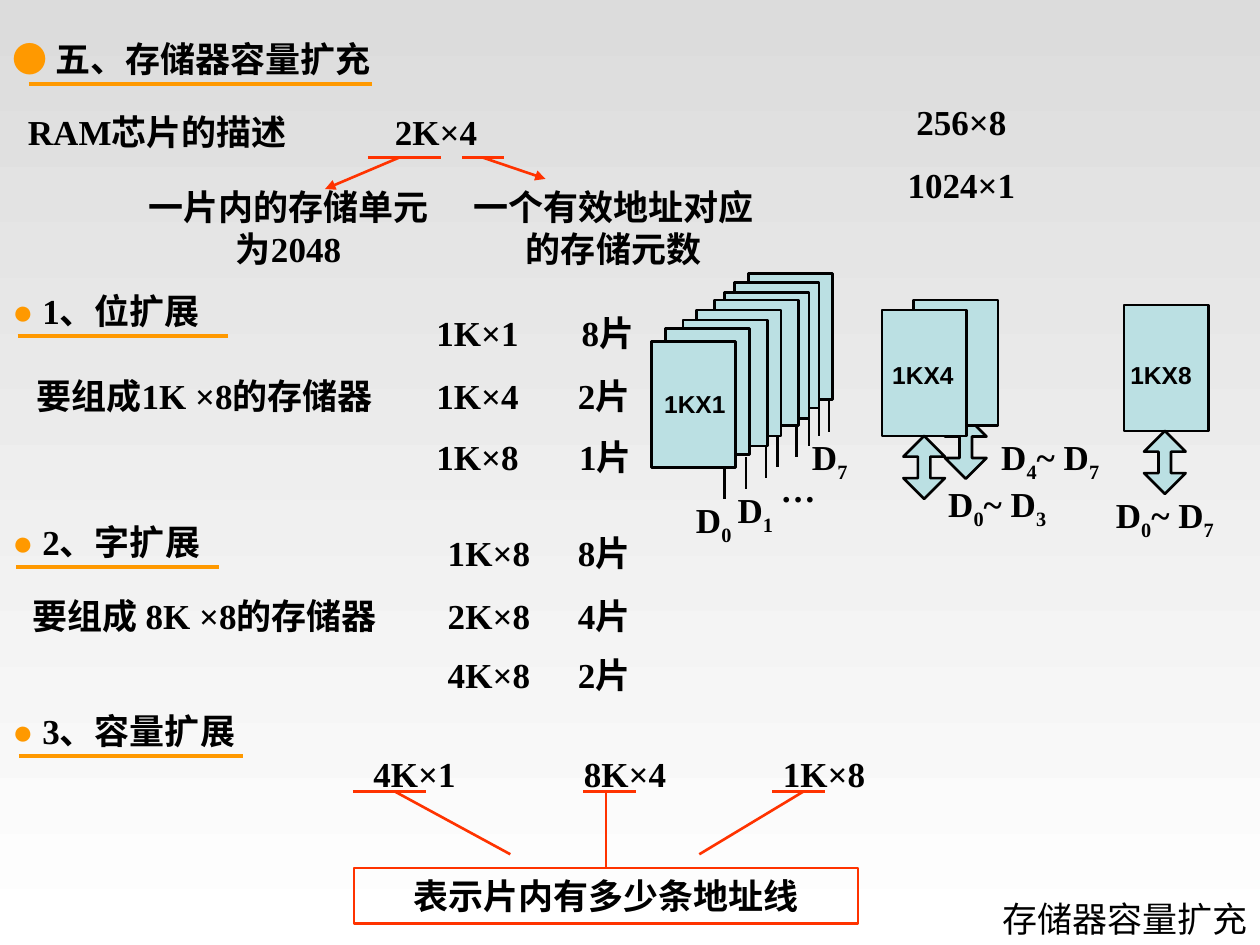
from dataclasses import dataclass
from itertools import groupby

from lxml.etree import SubElement
from pptx import Presentation
from pptx.dml.color import RGBColor
from pptx.enum.shapes import MSO_CONNECTOR as Link, MSO_SHAPE as Kind
from pptx.enum.text import MSO_ANCHOR as Anchor, PP_ALIGN as Align
from pptx.oxml.ns import qn
from pptx.shapes.autoshape import Shape
from pptx.shapes.connector import Connector
from pptx.slide import Slide
from pptx.util import Inches, Pt

BLACK = RGBColor(0x00, 0x00, 0x00)
WHITE = RGBColor(0xFF, 0xFF, 0xFF)
GREY = RGBColor(0xDC, 0xDC, 0xDC)
ORANGE = RGBColor(0xFF, 0x99, 0x00)
RED = RGBColor(0xFF, 0x33, 0x00)
TEAL = RGBColor(0xBB, 0xE0, 0xE3)
SERIF, SANS = "Times New Roman", "Arial"
CHIP_W, CHIP_H = 0.67, 1
ARROW_W, ARROW_H = 0.33, 0.5
PIN = 0.25


@dataclass
class Label:
    text: str
    x: float
    y: float
    w: float = 1.42
    h: float = 0.44
    size: int = 20
    face: str = SERIF
    bold: bool = True
    align: Align = Align.CENTER


@dataclass
class Heading:
    text: str
    y: float
    w: float
    left: float
    right: float


@dataclass
class Line:
    x1: float
    y1: float
    x2: float
    y2: float
    color: RGBColor = RED
    width: float = 1.5
    arrow: bool = False


HEADINGS = [
    Heading("五、存储器容量扩充", 0.25, 4.08, 0.23, 2.95),
    Heading("1、位扩展", 2.25, 2.5, 0.14, 1.81),
    Heading("2、字扩展", 4.08, 2.42, 0.13, 1.74),
    Heading("3、容量扩展", 5.58, 2.67, 0.15, 1.93),
]
LABELS = [
    Label("RAM芯片的描述", 0, 0.83, 2.5),
    Label("2K×4", 2.75, 0.83),
    Label("256×8", 6.92, 0.75),
    Label("1024×1", 6.92, 1.25),
    Label("一片内的存储单元为2048", 1, 1.42, 2.58, 0.77),
    Label("一个有效地址对应的存储元数", 3.58, 1.42, 2.58, 0.77),
    Label("要组成1K ×8的存储器", 0, 2.92, 3.25),
    Label("要组成 8K ×8的存储器", 0, 4.67, 3.25),
    Label("4K×1", 2.58, 5.92),
    Label("8K×4", 4.25, 5.92),
    Label("1K×8", 5.83, 5.92),
]
ROWS = [
    (3.08, "1K×1", 2.42, 4.45, "8片"),
    (3.08, "1K×4", 2.92, 4.42, "2片"),
    (3.08, "1K×8", 3.41, 4.43, "1片"),
    (3.17, "1K×8", 4.17, 4.42, "8片"),
    (3.17, "2K×8", 4.67, 4.42, "4片"),
    (3.17, "4K×8", 5.14, 4.42, "2片"),
]
LINES = [
    Line(2.92, 1.25, 3.5, 1.25),
    Line(3.17, 1.25, 2.58, 1.5, arrow=True),
    Line(3.67, 1.25, 4, 1.25),
    Line(3.83, 1.25, 4.33, 1.42, arrow=True),
    Line(2.8, 6.28, 3.38, 6.28),
    Line(3.13, 6.28, 4.05, 6.78),
    Line(4.63, 6.28, 5.05, 6.28),
    Line(6.13, 6.28, 6.55, 6.28),
    Line(6.38, 6.28, 5.55, 6.78),
]
STACK = [(5.94, 2.17), (5.83, 2.24), (5.75, 2.32), (5.67, 2.38),
         (5.53, 2.46), (5.42, 2.54), (5.28, 2.61), (5.17, 2.71)]
PINS = [(5.75, 3.71), (5.92, 3.63), (6.08, 3.54), (6.17, 3.46),
        (6.32, 3.38), (6.42, 3.29), (6.5, 3.21), (6.58, 3.18)]
NAMES = [("1KX1", 5.16, 3.04), ("1KX4", 6.97, 2.81), ("1KX8", 8.86, 2.81)]
BITS = [
    ("D1", 5.83, 3.88, 0.33),
    ("D0", 5.5, 3.96, 0.33),
    ("D7", 6.42, 3.46, 0.33),
    ("…", 6.17, 3.71, 0.33),
    ("D0~ D3", 7.5, 3.83, 0.83),
    ("D4~ D7", 7.92, 3.46, 0.83),
    ("D0~ D7", 8.83, 3.92, 0.83),
]


def write(shape: Shape, label: Label) -> None:
    frame = shape.text_frame
    frame.word_wrap = True
    para = frame.paragraphs[0]
    para.alignment = label.align
    font = para.font
    font.size, font.name, font.bold = Pt(label.size), label.face, label.bold
    font.color.rgb = BLACK
    para.add_run().text = label.text


def add_label(slide: Slide, label: Label) -> Shape:
    box = slide.shapes.add_textbox(
        Inches(label.x), Inches(label.y), Inches(label.w), Inches(label.h))
    write(box, label)
    return box


def add_line(slide: Slide, line: Line) -> Connector:
    link = slide.shapes.add_connector(
        Link.STRAIGHT, Inches(line.x1), Inches(line.y1), Inches(line.x2), Inches(line.y2))
    link.line.color.rgb = line.color
    link.line.width = Pt(line.width)
    if line.arrow:
        SubElement(link.line._get_or_add_ln(), qn("a:tailEnd"), type="triangle")
    SubElement(link._element.spPr, qn("a:effectLst"))
    return link


def add_heading(slide: Slide, head: Heading) -> None:
    box = slide.shapes.add_textbox(0, Inches(head.y), Inches(head.w), Inches(0.44))
    box.text_frame.word_wrap = True
    para = box.text_frame.paragraphs[0]
    para.font.size, para.font.name = Pt(20), SERIF
    for text, color, bold in (("● ", ORANGE, False), (head.text, BLACK, True)):
        run = para.add_run()
        run.text = text
        run.font.color.rgb, run.font.bold = color, bold
    base = head.y + 0.42
    add_line(slide, Line(head.left, base, head.right, base, ORANGE, 2.25))


def add_shape(slide: Slide, kind: Kind, x: float, y: float, w: float, h: float,
              color: RGBColor = BLACK) -> Shape:
    shape = slide.shapes.add_shape(kind, Inches(x), Inches(y), Inches(w), Inches(h))
    shape.shadow.inherit = False
    shape.fill.solid()
    shape.fill.fore_color.rgb = TEAL
    shape.line.color.rgb = color
    shape.line.width = Pt(1.5)
    return shape


def add_chip(slide: Slide, x: float, y: float) -> None:
    add_shape(slide, Kind.RECTANGLE, x, y, CHIP_W, CHIP_H)


def add_arrow(slide: Slide, x: float, y: float) -> None:
    arrow = add_shape(slide, Kind.UP_DOWN_ARROW, x, y, ARROW_W, ARROW_H)
    arrow.adjustments[0], arrow.adjustments[1] = 0.5, 0.3


def add_bits(slide: Slide, text: str, x: float, y: float, w: float) -> None:
    box = add_label(slide, Label("", x, y, w, 0.38))
    frame = box.text_frame
    frame.margin_left = frame.margin_right = frame.margin_top = frame.margin_bottom = 0
    para = frame.paragraphs[0]
    para.clear()
    for low, part in groupby(text, str.isdigit):
        run = para.add_run()
        run.text = "".join(part)
        if low:
            run.font._element.set("baseline", "-25000")


def main() -> None:
    """Build the memory expansion slide."""
    deck = Presentation()
    deck.slide_width, deck.slide_height = Inches(10), Inches(7.5)
    slide = deck.slides.add_slide(deck.slide_layouts[6])
    back = slide.background.fill
    back.gradient()
    back.gradient_angle = 270
    for stop, color in zip(back.gradient_stops, (GREY, WHITE)):
        stop.color.rgb = color

    title = Label("存储器容量扩充", 7.42, 7.08, 2.58, 0.42, 20, SANS, False, Align.RIGHT)
    add_label(slide, title).text_frame.vertical_anchor = Anchor.MIDDLE
    for head in HEADINGS:
        add_heading(slide, head)
    for label in LABELS:
        add_label(slide, label)
    for left, size, y, right, count in ROWS:
        add_label(slide, Label(size, left, y))
        add_label(slide, Label(count, right, y, 0.75))
    for line in LINES:
        add_line(slide, line)

    note = add_shape(slide, Kind.RECTANGLE, 2.81, 6.89, 4, 0.44, RED)
    note.fill.background()
    write(note, Label("表示片内有多少条地址线", 2.81, 6.89))
    add_line(slide, Line(4.81, 6.28, 4.81, 6.89)).end_connect(note, 0)

    for x, y in STACK:
        add_chip(slide, x, y)
    for x, y in PINS:
        add_line(slide, Line(x, y, x, y + PIN, BLACK))
    add_arrow(slide, 7.5, 3.3)
    for x, y in ((7.25, 2.38), (7, 2.46), (8.92, 2.42)):
        add_chip(slide, x, y)
    for x, y in ((7.17, 3.46), (9.08, 3.42)):
        add_arrow(slide, x, y)
    for text, x, y in NAMES:
        add_label(slide, Label(text, x, y, 0.71, 0.34, 14, SANS))
    for text, x, y, w in BITS:
        add_bits(slide, text, x, y, w)
    deck.save("out.pptx")


if __name__ == "__main__":
    main()
